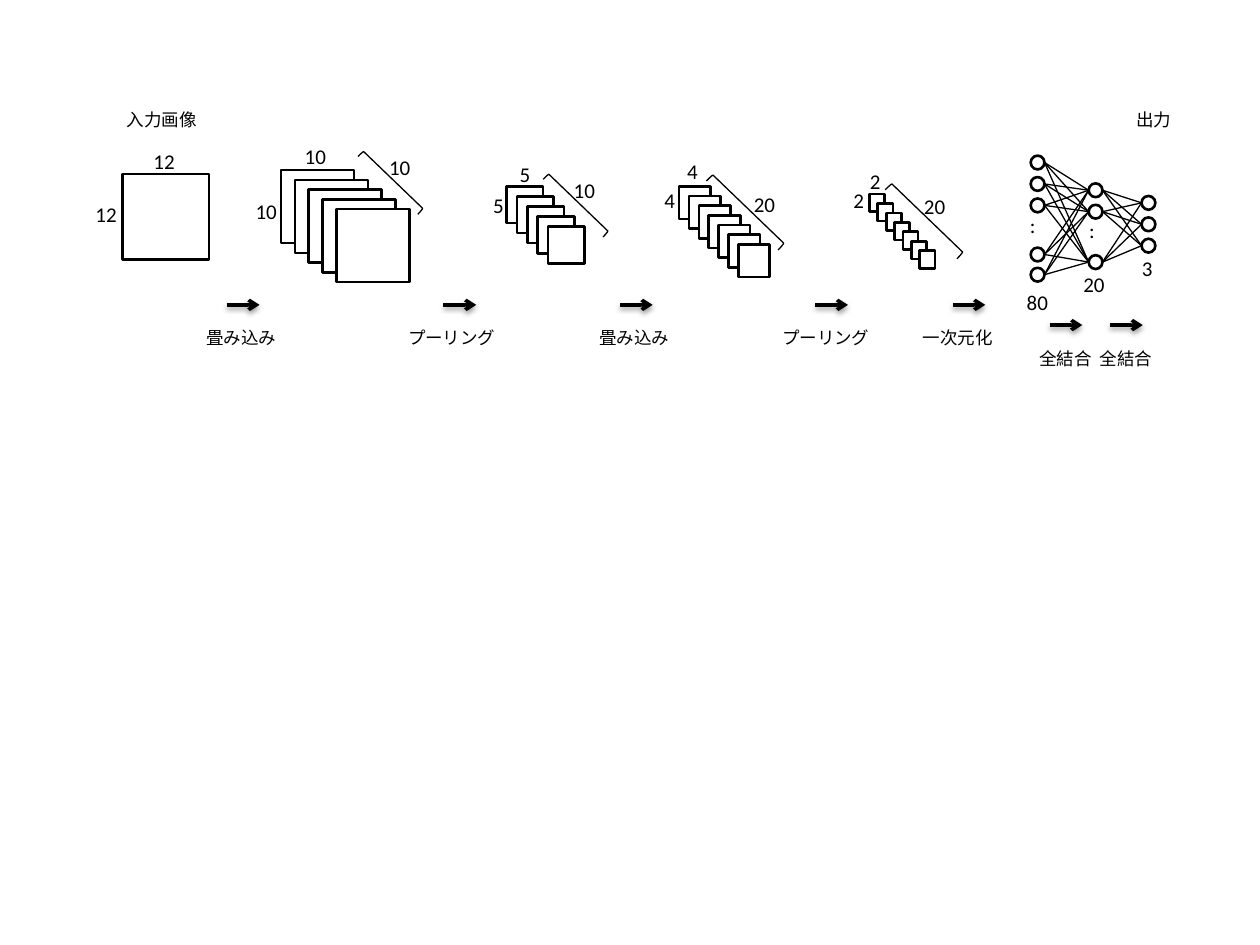
from dataclasses import dataclass
from itertools import pairwise, product

from pptx import Presentation
from pptx.dml.color import RGBColor
from pptx.enum.shapes import MSO_CONNECTOR as Link, MSO_SHAPE as Shape
from pptx.enum.text import MSO_AUTO_SIZE as AutoSize
from pptx.oxml.ns import qn
from pptx.oxml.xmlchemy import OxmlElement
from pptx.util import Inches, Pt


@dataclass(frozen=True)
class Theme:
    """Colours, fonts, type sizes and line widths."""
    ink: RGBColor = RGBColor(0, 0, 0)
    paper: RGBColor = RGBColor(255, 255, 255)
    number_font: str = "Calibri"
    caption_font: str = "Noto Sans CJK JP"
    number_size: float = 12
    caption_size: float = 10
    outline: float = 1.5
    hairline: float = 0.75
    arrow: float = 2


def add_child(parent, tag, **attributes):
    """Append an XML element and return it."""
    child = OxmlElement(tag)
    for name, value in attributes.items():
        child.set(name, str(value))
    parent.append(child)
    return child


class Diagram:
    """Draws network parts on a grid of 100 columns by 75 rows."""

    def __init__(self, deck, theme):
        """Add a blank page and measure its grid."""
        self.theme = theme
        self.page = deck.slides.add_slide(deck.slide_layouts[6])
        self.column = deck.slide_width / 100
        self.row = deck.slide_height / 75

    def place(self, x, y, width, height):
        """Turn grid lengths into slide lengths."""
        return (round(x * self.column), round(y * self.row),
                round(width * self.column), round(height * self.row))

    def shape(self, kind, x, y, width, height):
        """Draw a white shape with a black outline."""
        box = self.page.shapes.add_shape(kind, *self.place(x, y, width, height))
        box.shadow.inherit = False
        box.fill.solid()
        box.fill.fore_color.rgb = self.theme.paper
        box.line.color.rgb = self.theme.ink
        box.line.width = Pt(self.theme.outline)
        return box

    def stack(self, first, last, count, width, height):
        """Draw evenly stepped feature maps, front one last."""
        for index in range(count):
            share = index / max(count - 1, 1)
            x, y = (a + (b - a) * share for a, b in zip(first, last))
            self.shape(Shape.RECTANGLE, x, y, width, height)

    def bracket(self, x, y, width, height):
        """Draw a slanted bracket along a stack."""
        bracket = self.shape(Shape.RIGHT_BRACKET, x, y, width, height)
        bracket.fill.background()
        bracket.line.width = Pt(self.theme.hairline)
        bracket.rotation = 313.9

    def text(self, words, center, top, width, height, font, size):
        """Write one line centred on a column."""
        box = self.page.shapes.add_textbox(
            *self.place(center - width / 2, top, width, height))
        frame = box.text_frame
        frame.word_wrap = False
        frame.auto_size = AutoSize.SHAPE_TO_FIT_TEXT
        para = frame.paragraphs[0]
        para.text = words
        para.font.size = Pt(size)
        para.font.color.rgb = self.theme.ink
        para.font.name = font
        defaults = para._p.get_or_add_pPr().find(qn("a:defRPr"))
        add_child(defaults, "a:ea", typeface=font)

    def number(self, words, center, top):
        """Write a size label."""
        self.text(words, center, top, 2.1 + 0.8 * len(words), 3,
                  self.theme.number_font, self.theme.number_size)

    def caption(self, words, center, top):
        """Write a Japanese caption."""
        self.text(words, center, top, 2 + 1.4 * len(words), 2.7,
                  self.theme.caption_font, self.theme.caption_size)

    def line(self, start, end, weight):
        """Draw a line; return it with its empty effect list."""
        x1, y1, x2, y2 = self.place(*start, *end)
        line = self.page.shapes.add_connector(Link.STRAIGHT, x1, y1, x2, y2)
        line.line.color.rgb = self.theme.ink
        line.line.width = Pt(weight)
        return line, add_child(line._element.spPr, "a:effectLst")

    def step(self, words, center, caption_center, y):
        """Draw a shadowed arrow with its caption below."""
        arrow, effects = self.line((center - 1.3, y), (center + 1.3, y),
                                   self.theme.arrow)
        add_child(arrow.line._get_or_add_ln(), "a:tailEnd", type="arrow")
        shadow = add_child(effects, "a:outerShdw", blurRad=Pt(3.1),
                           dist=Pt(1.6), dir=90 * 60000, rotWithShape=0)
        color = add_child(shadow, "a:srgbClr", val=self.theme.ink)
        add_child(color, "a:alpha", val=38000)
        self.caption(words, caption_center, y + 1.3)

    def network(self, layers, size):
        """Draw neuron layers and join each to the next."""
        radius = size / 2
        for x, centers in layers:
            for y in centers:
                self.shape(Shape.OVAL, x - radius, y - radius, size, size)
        for (left, sources), (right, targets) in pairwise(layers):
            for target, source in product(targets, sources):
                self.line((left + radius, source), (right - radius, target),
                          self.theme.hairline)


# First corner, last corner, count, width, height
STACKS = [
    ((9.7, 13.8), (9.7, 13.8), 1, 6.9, 6.8),
    ((22.3, 13.5), (26.7, 16.6), 5, 5.8, 5.8),
    ((40.2, 14.8), (43.5, 18), 5, 2.9, 2.9),
    ((53.9, 14.8), (58.6, 19.4), 7, 2.5, 2.6),
    ((69, 15.4), (73, 19.9), 7, 1.2, 1.4),
]
BRACKETS = [(30.7, 11.2, 0.6, 6.6), (45.4, 13, 0.6, 6.6),
            (58.8, 12.9, 0.7, 7.9), (73, 13.6, 0.7, 7.9)]
# Words, centre column, top row
NUMBERS = [
    ("12", 13.05, 11.3), ("12", 8.45, 15.5),
    ("10", 25.05, 10.9), ("10", 21.15, 15.3), ("10", 31.75, 11.8),
    ("5", 41.7, 12.3), ("5", 39.6, 14.8), ("10", 46.4, 13.6),
    ("4", 55, 12.1), ("4", 53.2, 14.4), ("20", 60.7, 14.7),
    ("2", 69.5, 12.9), ("2", 68.2, 14.4), ("20", 74.2, 14.9),
    (":", 82.2, 16.4), (":", 86.9, 16.8),
    ("80", 82.35, 22.5), ("20", 86.85, 21.1), ("3", 91.1, 19.8),
]
CAPTIONS = [("入力画像", 12.9, 8.2), ("出力", 91.6, 8.2)]
# Centre column, neuron rows
LAYERS = [(82.35, (12.9, 14.6, 16.3, 20.2, 21.8)),
          (86.95, (15.1, 16.8, 20.8)),
          (91.15, (16.1, 17.8, 19.5))]
# Words, arrow centre, caption centre, row
STEPS = [
    ("畳み込み", 19.3, 19.2, 24.2), ("プーリング", 36.5, 35.9, 24.2),
    ("畳み込み", 50.5, 50.4, 24.2), ("プーリング", 66, 65.6, 24.2),
    ("一次元化", 76.9, 76.05, 24.2),
    ("全結合", 84.6, 84.6, 25.8), ("全結合", 89.4, 89.4, 25.8),
]


def main():
    """Build and save the network slide."""
    deck = Presentation()
    deck.slide_width, deck.slide_height = Inches(10), Inches(7.5)
    diagram = Diagram(deck, Theme())
    for draw, rows in ((diagram.stack, STACKS), (diagram.bracket, BRACKETS),
                       (diagram.number, NUMBERS), (diagram.caption, CAPTIONS),
                       (diagram.step, STEPS)):
        for row in rows:
            draw(*row)
    diagram.network(LAYERS, 1.1)
    deck.save("out.pptx")


main()
